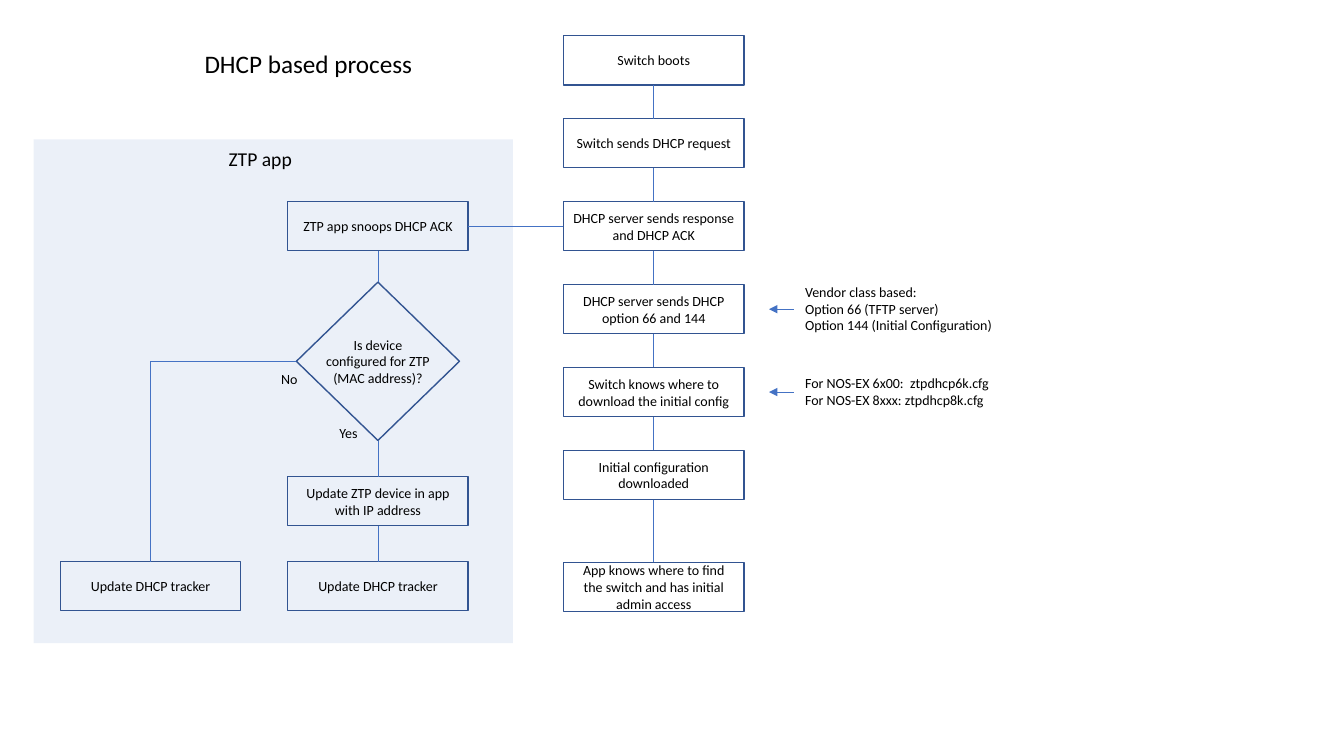
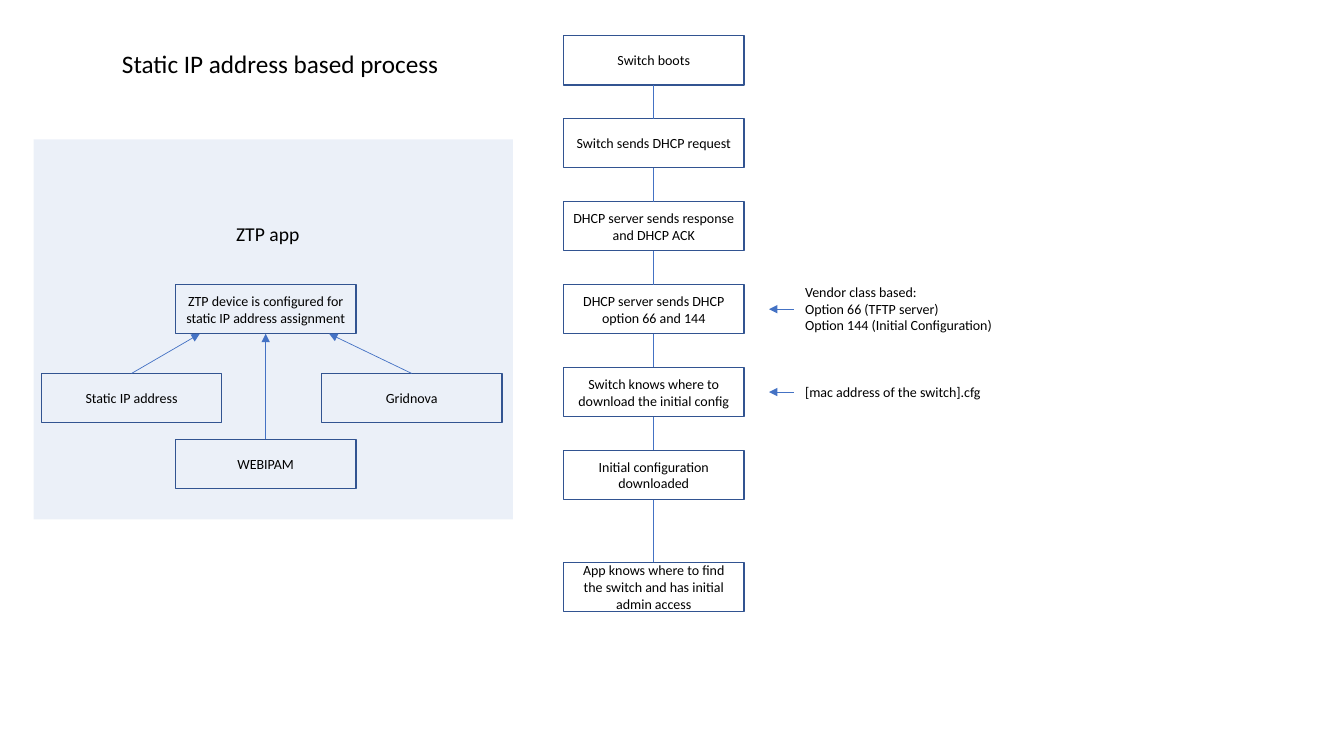
from pptx import Presentation
from pptx import util as u
from pptx.dml.color import RGBColor
from pptx.enum import shapes, text
from pptx.oxml.ns import qn
from lxml import etree

Cm, Pt = u.Cm, u.Pt
BLACK = RGBColor(0x00, 0x00, 0x00)
BLUE = RGBColor(0x44, 0x72, 0xC4)
DARK_BLUE = RGBColor(0x32, 0x54, 0x91)
FONT = "Calibri"

BOX_W, BOX_H = 4.55, 1.24
COLUMN_X, COLUMN_Y, STEP_PITCH, LAST_STEP_Y = 14.2, 0.9, 2.09, 14.17
OPTION_STEP, CONFIG_STEP = 3, 4
TOP, LEFT, BOTTOM, RIGHT = range(4)

STEPS = [
    "Switch boots",
    "Switch sends DHCP request",
    "DHCP server sends response and DHCP ACK",
    "DHCP server sends DHCP option 66 and 144",
    "Switch knows where to download the initial config",
    "Initial configuration downloaded",
    "App knows where to find the switch and has initial admin access",
]
OPTIONS_NOTE = ("Vendor class based:\nOption 66 (TFTP server)\n"
                "Option 144 (Initial Configuration)")


def step_y(i):
    return COLUMN_Y + i * STEP_PITCH


def write(tf, content, size=10, align=text.PP_ALIGN.LEFT, wrap=False):
    tf.text = content
    tf.word_wrap = wrap
    tf.auto_size = text.MSO_AUTO_SIZE.NONE
    for p in tf.paragraphs:
        p.alignment = align
        p.font.name = FONT
        p.font.size = Pt(size)
        p.font.color.rgb = BLACK


def add_label(s, content, x, y, w, h, size=10, align=text.PP_ALIGN.LEFT):
    sp = s.shapes.add_textbox(Cm(x), Cm(y), Cm(w), Cm(h))
    write(sp.text_frame, content, size, align)


def add_box(s, content, x, y, w=BOX_W, h=BOX_H,
            kind=shapes.MSO_SHAPE.RECTANGLE, wrap=True):
    sp = s.shapes.add_shape(kind, Cm(x), Cm(y), Cm(w), Cm(h))
    sp.shadow.inherit = False
    sp.fill.background()
    sp.line.color.rgb = DARK_BLUE
    sp.line.width = Pt(1)
    sp.text_frame.vertical_anchor = text.MSO_ANCHOR.MIDDLE
    write(sp.text_frame, content, 10, text.PP_ALIGN.CENTER, wrap)
    return sp


def add_panel(s, height):
    sp = s.shapes.add_shape(shapes.MSO_SHAPE.RECTANGLE,
                            Cm(0.85), Cm(3.51), Cm(12.08), Cm(height))
    sp.shadow.inherit = False
    sp.line.fill.background()
    sp.fill.solid()
    sp.fill.fore_color.rgb = BLUE
    color = sp.fill._xPr.find(qn("a:solidFill"))[0]
    etree.SubElement(color, qn("a:alpha")).set("val", "10000")


def add_line(s, x1=0, y1=0, x2=0, y2=0, arrow=False):
    c = s.shapes.add_connector(shapes.MSO_CONNECTOR.STRAIGHT,
                               Cm(x1), Cm(y1), Cm(x2), Cm(y2))
    c.line.color.rgb = BLUE
    c.line.width = Pt(0.5)
    if arrow:
        ln = c.line._get_or_add_ln()
        etree.SubElement(ln, qn("a:tailEnd")).set("type", "triangle")
    etree.SubElement(c._element.spPr, qn("a:effectLst"))
    return c


def link(s, start, end, start_side=BOTTOM, end_side=TOP):
    c = add_line(s)
    c.begin_connect(start, start_side)
    c.end_connect(end, end_side)


def link_chain(s, boxes):
    for start, end in zip(boxes, boxes[1:]):
        link(s, start, end)


def add_note(s, content, step, height):
    middle = step_y(step) + BOX_H / 2
    add_line(s, 20, middle, 19.38, middle, arrow=True)
    add_label(s, content, 20.04, middle - height / 2, 5.28, height)


def add_process_slide(prs, title, title_x, title_w, panel_h, config_note, note_h):
    s = prs.slides.add_slide(prs.slide_layouts[5])
    sp = s.shapes.title
    sp.left, sp.top, sp.width, sp.height = (
        Cm(title_x), Cm(1.1), Cm(title_w), Cm(1.02))
    write(sp.text_frame, title, 18)
    add_panel(s, panel_h)
    tops = [step_y(i) for i in range(len(STEPS) - 1)] + [LAST_STEP_Y]
    steps = [add_box(s, step, COLUMN_X, y) for step, y in zip(STEPS, tops)]
    link_chain(s, steps)
    add_note(s, OPTIONS_NOTE, OPTION_STEP, 1.55)
    add_note(s, config_note, CONFIG_STEP, note_h)
    return s, steps


def add_dhcp_slide(prs):
    s, steps = add_process_slide(
        prs, "DHCP based process", 4.9, 5.82, 12.7,
        "For NOS-EX 6x00:  ztpdhcp6k.cfg\nFor NOS-EX 8xxx: ztpdhcp8k.cfg", 1.12)
    add_label(s, "ZTP app", 5.51, 3.58, 2.13, 0.86, 14)
    branch_x, tracker_x, tracker_y = 7.25, 1.52, 14.15
    snoop = add_box(s, "ZTP app snoops DHCP ACK", branch_x, step_y(2))
    check_w, check_h, check_y = 4.11, 3.99, 7.11
    check_x = branch_x + (BOX_W - check_w) / 2
    check = add_box(s, "Is device\nconfigured for ZTP\n(MAC address)?",
                    check_x, check_y, check_w, check_h,
                    shapes.MSO_SHAPE.DIAMOND, wrap=False)
    update = add_box(s, "Update ZTP device in app with IP address", branch_x, 12.01)
    tracker = add_box(s, "Update DHCP tracker", branch_x, tracker_y)
    add_box(s, "Update DHCP tracker", tracker_x, tracker_y)
    link(s, steps[2], snoop, LEFT, RIGHT)
    link_chain(s, [snoop, check, update, tracker])
    no_x, no_y = tracker_x + BOX_W / 2, check_y + check_h / 2
    add_line(s, check_x, no_y, no_x, no_y)
    add_line(s, no_x, no_y, no_x, tracker_y)
    add_label(s, "No", 6.81, 9.2, 0.94, 0.68, align=text.PP_ALIGN.RIGHT)
    add_label(s, "Yes", 8.26, 10.57, 1, 0.68, align=text.PP_ALIGN.RIGHT)


def add_static_slide(prs):
    s, _ = add_process_slide(
        prs, "Static IP address based process", 2.82, 8.59, 9.58,
        "[mac address of the switch].cfg", 0.68)
    add_label(s, "ZTP app", 5.7, 5.47, 2.13, 0.86, 14)
    device_x, device_y = 4.42, step_y(3)
    add_box(s, "ZTP device is configured for static IP address assignment",
            device_x, device_y)
    sources = [
        ("Static IP address", 1.04, 9.41, -1.66),
        ("WEBIPAM", device_x, 11.07, 0),
        ("Gridnova", 8.1, 9.41, 1.6),
    ]
    for name, x, y, offset in sources:
        add_box(s, name, x, y)
        add_line(s, x + BOX_W / 2, y, device_x + BOX_W / 2 + offset,
                 device_y + BOX_H, arrow=True)


def main():
    prs = Presentation()
    prs.slide_width, prs.slide_height = Cm(33.87), Cm(19.05)
    add_dhcp_slide(prs)
    add_static_slide(prs)
    prs.save("out.pptx")


if __name__ == "__main__":
    main()
